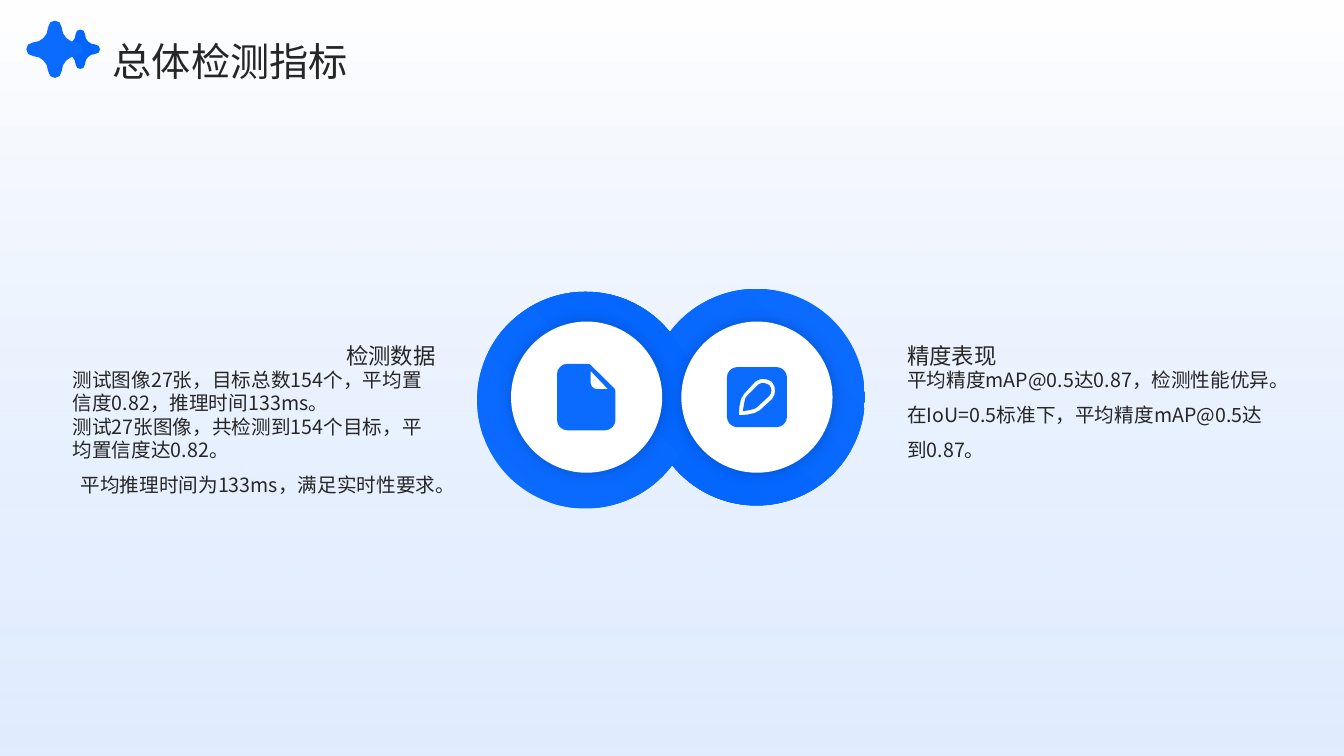
"""Build the slide on overall detection metrics."""
from lxml import etree
from pptx import Presentation
from pptx.dml.color import RGBColor
from pptx.enum import shapes, text
from pptx.oxml import ns
from pptx.util import Pt

FONT = "Noto Sans CJK SC"
INK = RGBColor(0x26, 0x26, 0x26)
WHITE = RGBColor(0xFF, 0xFF, 0xFF)
PALE_BLUE = RGBColor(0xCE, 0xE1, 0xFF)
BLUE = RGBColor(0x0C, 0x6B, 0xFF)
DEEP_BLUE = RGBColor(0x01, 0x65, 0xFF)
SHADOW_BLUE = RGBColor(0x00, 0x34, 0x86)
LEFT, RIGHT = text.PP_ALIGN.LEFT, text.PP_ALIGN.RIGHT

TITLE = "总体检测指标"
COLUMNS = [
    (648, LEFT, "精度表现", [
        "平均精度mAP@0.5达0.87，检测性能优异。",
        "在IoU=0.5标准下，平均精度mAP@0.5达到0.87。",
    ]),
    (51.84, RIGHT, "检测数据", [
        "测试图像27张，目标总数154个，平均置信度0.82，推理时间133ms。",
        "测试27张图像，共检测到154个目标，平均置信度达0.82。",
        "平均推理时间为133ms，满足实时性要求。",
    ]),
]

# Each contour is a list of points (2 numbers) and cubic curves (6 numbers).
FILE_ICON = [
    [(421.9, 265), (421.9, 273.6), (421.9, 275.8, 424.1, 277.9, 426.2, 277.9), (434.2, 277.9)],
    [(405.4, 259.9), (420.5, 259.9), (421.6, 260.4), (439.2, 277.9), (439.6, 279.4),
     (439.6, 300.2), (439.6, 303.8, 436.3, 307.4, 432, 307.4), (405.4, 307.4),
     (401, 307.4, 397.9, 303.8, 397.9, 300.2), (397.9, 267.1),
     (397.9, 263.5, 401, 259.9, 405.4, 259.9)],
]
PEN_ICON = [
    [(545, 273.6), (546.5, 273.6, 547.9, 274.3, 549.4, 275),
     (551.5, 277.2, 551.5, 280.8, 549.4, 283), (540.7, 290.9),
     (540, 292.3, 535, 293, 530.6, 293.8), (531.4, 289.4, 532.1, 284.4, 532.8, 283.7),
     (541.4, 275), (542.2, 274.3, 543.6, 273.6, 545, 273.6)],
    [(545, 270.7), (542.9, 270.7, 541.4, 271.4, 539.3, 272.9), (531.4, 281.5),
     (527.8, 284.4, 527.8, 296.6, 527.8, 296.6), (527.8, 296.6, 539.3, 296.6, 542.9, 293),
     (551.5, 285.1), (554.4, 281.5, 554.4, 276.5, 551.5, 272.9),
     (549.4, 271.4, 547.2, 270.7, 545, 270.7)],
    [(526.3, 262.3), (555.1, 262.3), (558.7, 262.3, 562.1, 265.7, 562.1, 269.3),
     (562.1, 298.1), (562.1, 301.7, 558.7, 305.1, 555.1, 305.1), (526.3, 305.1),
     (522.7, 305.1, 519.3, 301.7, 519.3, 298.1), (519.3, 269.3),
     (519.3, 265.7, 522.7, 262.3, 526.3, 262.3)],
]
DISCS = [(365.04, FILE_ICON), (486.72, PEN_ICON)]
SPARKLES = [(57.4, 14.1, DEEP_BLUE), (39.2, 20.5, BLUE)]
SPARKLE_MIDDLE = 35.2
SPARKLE_ARM = [(0.48, -0.24, 0.24, -0.48, 0.24, -0.75), (0.24, -1.08, -0.24, -1.08, -0.24, -0.75)]


def add_preset(slide, kind, left, top, width, height):
    shape = slide.shapes.add_shape(kind, Pt(left), Pt(top), Pt(width), Pt(height))
    shape.shadow.inherit = False
    shape.line.fill.background()
    return shape


def fill_gradient(shape, angle, first, last, start=0.0):
    shape.fill.gradient()
    shape.fill.gradient_angle = angle
    for stop, color, position in zip(shape.fill.gradient_stops, (first, last), (start, 1.0)):
        stop.color.rgb = color
        stop.position = position


def add_ring(slide, left, top, adjustments, angle):
    ring = add_preset(slide, shapes.MSO_SHAPE.BLOCK_ARC, left, top, 154.8, 154.8)
    for index, value in enumerate(adjustments):
        ring.adjustments[index] = value
    fill_gradient(ring, angle, BLUE, DEEP_BLUE, 0.13)
    return ring


def add_disc(slide, left):
    disc = add_preset(slide, shapes.MSO_SHAPE.OVAL, left, 229.68, 108, 108)
    disc.fill.solid()
    disc.fill.fore_color.rgb = WHITE
    effects = disc._element.spPr.find(ns.qn("a:effectLst"))
    shadow = etree.SubElement(effects, ns.qn("a:outerShdw"), blurRad=str(Pt(10)), dist="0",
                              dir="0", algn="ctr", rotWithShape="0")
    color = etree.SubElement(shadow, ns.qn("a:srgbClr"), val=str(SHADOW_BLUE))
    etree.SubElement(color, ns.qn("a:alpha"), val="40000")


def flatten(contour, steps=4):
    points = [contour[0]]
    for segment in contour[1:]:
        if len(segment) == 2:
            points.append(segment)
            continue
        corners = [points[-1], segment[:2], segment[2:4], segment[4:]]
        for step in range(1, steps + 1):
            t = step / steps
            weights = ((1 - t) ** 3, 3 * t * (1 - t) ** 2, 3 * t * t * (1 - t), t ** 3)
            points.append(tuple(sum(w * corner[axis] for w, corner in zip(weights, corners))
                                for axis in (0, 1)))
    return [(Pt(x), Pt(y)) for x, y in points]


def add_outline(slide, contours, color):
    outlines = [flatten(contour) for contour in contours]
    builder = slide.shapes.build_freeform(*outlines[0][0])
    for index, points in enumerate(outlines):
        if index:
            builder.move_to(*points[0])
        builder.add_line_segments(points[1:], close=True)
    shape = builder.convert_to_shape()
    shape.shadow.inherit = False
    shape.fill.solid()
    shape.fill.fore_color.rgb = color
    shape.line.fill.background()


def sparkle(center, radius):
    arm = [(0.75, -0.24)] + SPARKLE_ARM
    contour = []
    for turn in range(4):
        for segment in arm if turn == 0 else arm[1:]:
            pairs = list(zip(segment[::2], segment[1::2]))
            for _ in range(turn):
                pairs = [(y, -x) for x, y in pairs]
            contour.append(tuple(value for x, y in pairs
                                 for value in (center + radius * x, SPARKLE_MIDDLE + radius * y)))
    return contour


def add_text(slide, box, lines, size, anchor=text.MSO_ANCHOR.TOP, inset=True):
    frame = slide.shapes.add_textbox(*map(Pt, box)).text_frame
    frame.word_wrap = True
    frame.vertical_anchor = anchor
    if not inset:
        frame.margin_left = frame.margin_right = frame.margin_top = frame.margin_bottom = 0
    for index, (line, alignment, spacing) in enumerate(lines):
        paragraph = frame.paragraphs[0] if index == 0 else frame.add_paragraph()
        paragraph.text = line
        paragraph.alignment = alignment
        paragraph.line_spacing = spacing
        paragraph.font.size = Pt(size)
        paragraph.font.color.rgb = INK
        for run in paragraph.runs:
            run.font.name = FONT
            etree.SubElement(run.font._element, ns.qn("a:ea"), typeface=FONT)


def main():
    presentation = Presentation()
    presentation.slide_width, presentation.slide_height = Pt(960), Pt(540)
    slide = presentation.slides.add_slide(presentation.slide_layouts[6])

    backdrop = add_preset(slide, shapes.MSO_SHAPE.RECTANGLE, 0, 0, 960, 540)
    fill_gradient(backdrop, 270, WHITE, PALE_BLUE)
    pale_stop = list(backdrop._element.spPr.iter(ns.qn("a:srgbClr")))[-1]
    etree.SubElement(pale_stop, ns.qn("a:alpha"), val="60000")

    right_ring = add_ring(slide, 463, 206.25, (215.33, 201.31, 0.156), 315)
    right_ring._element.spPr.find(ns.qn("a:xfrm")).set("flipH", "1")
    for left, alignment, heading, lines in COLUMNS:
        add_text(slide, (left, 224.9, 259.2, 38.6), [(heading, alignment, 1.5)], 16,
                 text.MSO_ANCHOR.BOTTOM, inset=False)
        body = [(line, LEFT, 1.0) for line in lines[:-1]] + [(lines[-1], alignment, 1.5)]
        add_text(slide, (left, 262.5, 259.2, 146.88), body, 14, inset=False)
    left_ring = add_ring(slide, 340.8, 208.4, (37.81, 26.39, 0.241), 0)
    left_ring.rotation = 315

    for left, icon in DISCS:
        add_disc(slide, left)
        add_outline(slide, icon, BLUE)
    add_text(slide, (73.44, 12.96, 819.36, 41.04), [(TITLE, LEFT, 1.3)], 28)
    for center, radius, color in SPARKLES:
        add_outline(slide, [sparkle(center, radius)], color)
    presentation.save("out.pptx")


if __name__ == "__main__":
    main()
